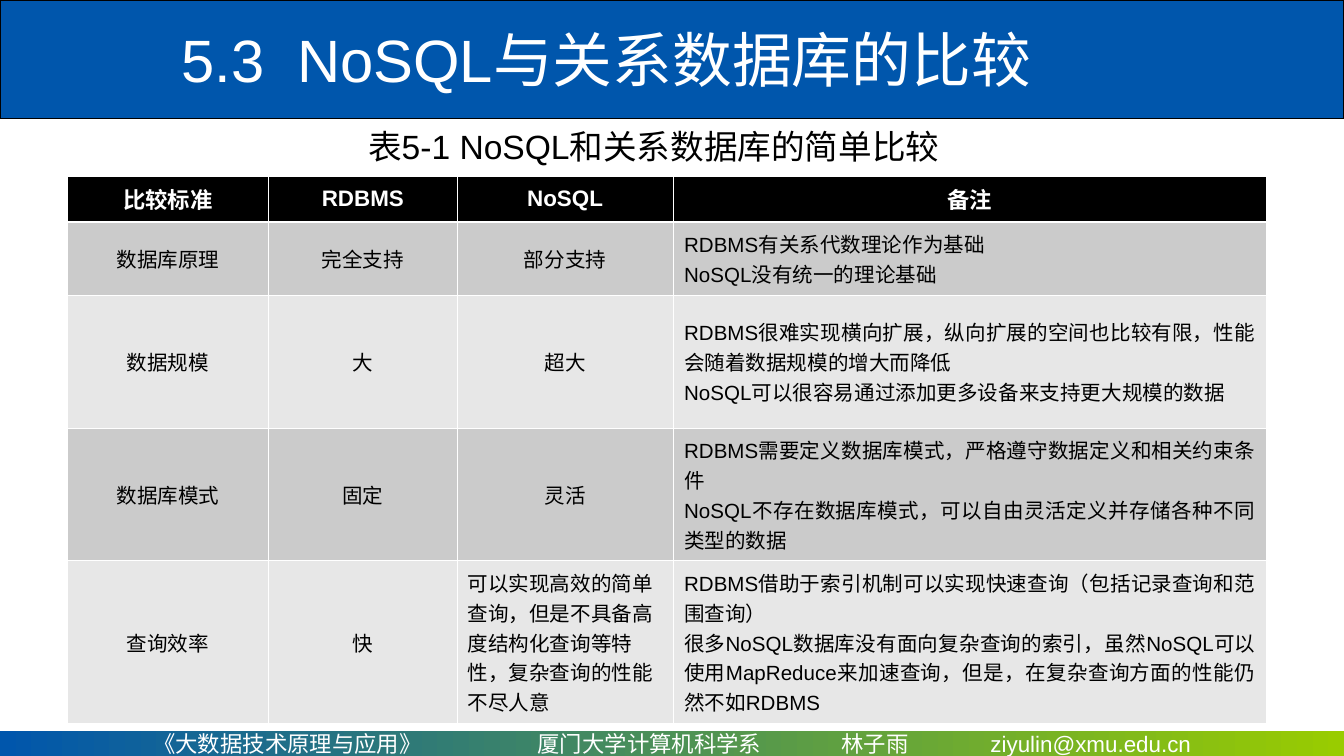
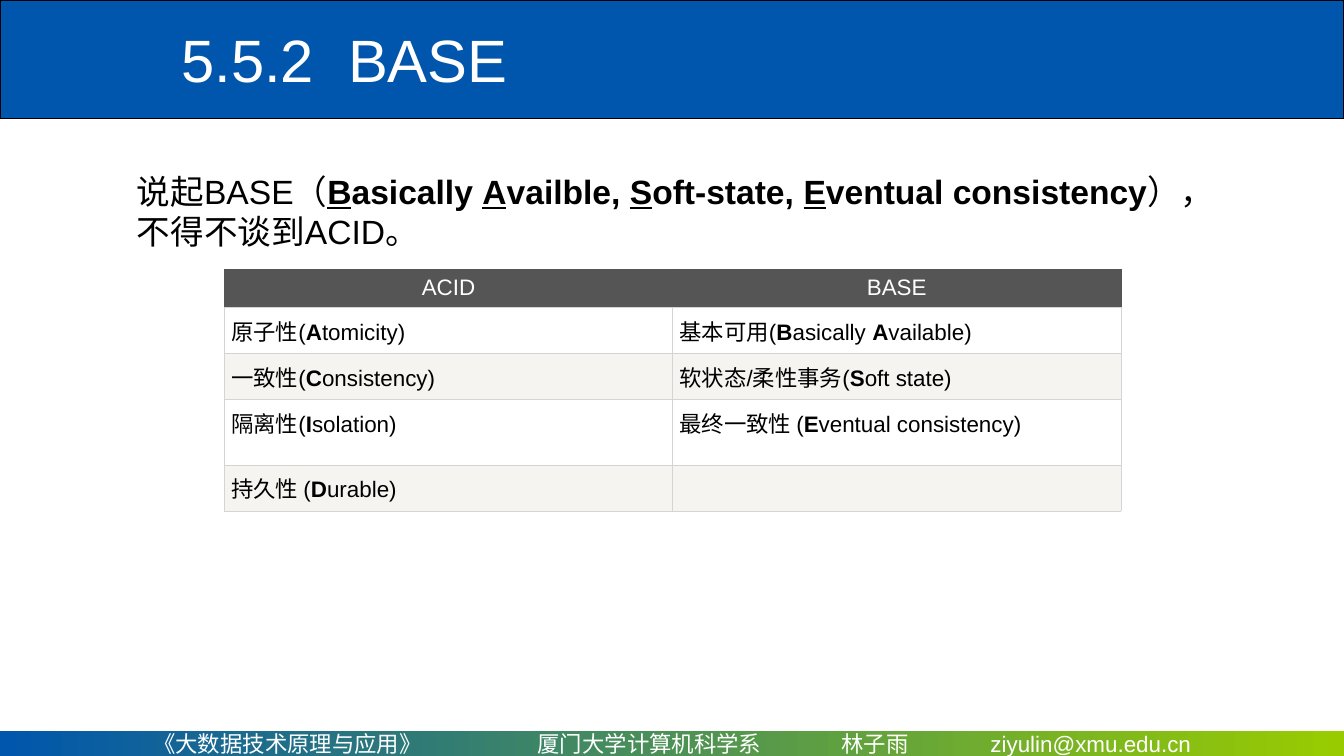
from lxml import etree
from pptx import Presentation, util as u
from pptx.dml.color import RGBColor
from pptx.enum import shapes, text
from pptx.oxml import ns

Inches, Pt = u.Inches, u.Pt
LEFT, CENTER, JUSTIFY = text.PP_ALIGN.LEFT, text.PP_ALIGN.CENTER, text.PP_ALIGN.JUSTIFY
MIDDLE, TOP = text.MSO_ANCHOR.MIDDLE, text.MSO_ANCHOR.TOP

FONT = "Arial"
BLUE = RGBColor(0x00, 0x56, 0xAC)
GREEN = RGBColor(0x99, 0xCC, 0x00)
BLACK = RGBColor(0x00, 0x00, 0x00)
WHITE = RGBColor(0xFF, 0xFF, 0xFF)
DARK_BAND = RGBColor(0xCB, 0xCB, 0xCB)
LIGHT_BAND = RGBColor(0xE7, 0xE7, 0xE7)
CHARCOAL = RGBColor(0x55, 0x55, 0x55)
RULE_GREY = RGBColor(0xD4, 0xD4, 0xD4)
IVORY = RGBColor(0xF6, 0xF4, 0xF0)

FOOTER = "《大数据技术原理与应用》\t厦门大学计算机科学系\t林子雨\tziyulin@xmu.edu.cn"
COMPARISON = [
    ["比较标准", "RDBMS", "NoSQL", "备注"],
    ["数据库原理", "完全支持", "部分支持",
     "RDBMS有关系代数理论作为基础\nNoSQL没有统一的理论基础"],
    ["数据规模", "大", "超大",
     "RDBMS很难实现横向扩展，纵向扩展的空间也比较有限，性能会随着数据规模的增大而降低\n"
     "NoSQL可以很容易通过添加更多设备来支持更大规模的数据"],
    ["数据库模式", "固定", "灵活",
     "RDBMS需要定义数据库模式，严格遵守数据定义和相关约束条件\n"
     "NoSQL不存在数据库模式，可以自由灵活定义并存储各种不同类型的数据"],
    ["查询效率", "快",
     "可以实现高效的简单查询，但是不具备高度结构化查询等特性，复杂查询的性能不尽人意",
     "RDBMS借助于索引机制可以实现快速查询（包括记录查询和范围查询）\n"
     "很多NoSQL数据库没有面向复杂查询的索引，虽然NoSQL可以使用MapReduce来加速查询，"
     "但是，在复杂查询方面的性能仍然不如RDBMS"],
]
ACID_BASE = [
    ["ACID", "BASE"],
    ["原子性(*A*tomicity)", "基本可用(*B*asically *A*vailable)"],
    ["一致性(*C*onsistency)", "软状态/柔性事务(*S*oft state)"],
    ["隔离性(*I*solation)", "最终一致性 (*E*ventual consistency)"],
    ["持久性 (*D*urable)", ""],
]
BASE_INTRO = ("说起BASE（*_B_asically _A_vailble, _S_oft-state, _E_ventual consistency*"
              "），不得不谈到ACID。")


def add_tabs(paragraph, stops):
    """Give a paragraph left tab stops, in inches from its text edge."""
    tabs = etree.SubElement(paragraph._p.get_or_add_pPr(), ns.qn("a:tabLst"))
    for stop in stops:
        etree.SubElement(tabs, ns.qn("a:tab"), pos=str(Inches(stop)), algn="l")


def write(paragraph, markup, size, color, align=LEFT, bold=False):
    """Fill a paragraph, where *stars* mark bold and _bars_ mark underline."""
    paragraph.alignment = align
    paragraph._p.get_or_add_pPr().set("hangingPunct", "0")
    font = paragraph.font
    font.name, font.size, font.bold, font.color.rgb = FONT, Pt(size), bold, color
    for i, phrase in enumerate(markup.split("*")):
        for j, piece in enumerate(phrase.split("_")):
            if piece:
                run = paragraph.add_run()
                run.text = piece
                if i % 2:
                    run.font.bold = True
                if j % 2:
                    run.font.underline = True


def add_band(slide, box):
    """Add a plain full-width rectangle."""
    band = slide.shapes.add_shape(shapes.MSO_SHAPE.RECTANGLE, *map(Inches, box))
    band.shadow.inherit = False
    return band


def add_frame(layout, slide):
    """Build the title band and footer, then move them to the shared layout."""
    header = add_band(slide, (0, 0, 10, 0.88))
    header.fill.solid()
    header.fill.fore_color.rgb = BLUE
    header.line.color.rgb = BLACK
    header.line.width = Pt(0.75)

    footer = add_band(slide, (0, 5.44, 10, 0.19))
    footer.line.fill.background()
    footer.fill.gradient()
    footer.fill.gradient_angle = 0
    for stop, color in zip(footer.fill.gradient_stops, (BLUE, GREEN)):
        stop.color.rgb = color
    frame = footer.text_frame
    frame.margin_left = Inches(1.14)
    frame.margin_right = frame.margin_top = frame.margin_bottom = 0
    frame.vertical_anchor = MIDDLE
    frame.word_wrap = True
    add_tabs(frame.paragraphs[0], (2.86, 5.12, 6.23))
    write(frame.paragraphs[0], FOOTER, 12, WHITE)

    for position, band in enumerate((header, footer), start=2):
        layout.shapes.element.insert(position, band.element)


def set_title(slide, title, name_start):
    """Place the title, its name starting at a tab after the section number."""
    holder = slide.shapes.title
    holder.left, holder.top, holder.width, holder.height = map(Inches, (1.25, 0.06, 8.75, 0.75))
    frame = holder.text_frame
    frame.vertical_anchor = MIDDLE
    frame.auto_size = text.MSO_AUTO_SIZE.NONE
    add_tabs(frame.paragraphs[0], [name_start])
    write(frame.paragraphs[0], title, 32, WHITE)


def add_line_of_text(slide, box, markup, anchor, wrap):
    """Add an 18 point text box."""
    frame = slide.shapes.add_textbox(*map(Inches, box)).text_frame
    frame.word_wrap = wrap
    frame.vertical_anchor = anchor
    write(frame.paragraphs[0], markup, 18, BLACK)


def set_borders(cell, borders):
    """Draw the left, right, top and bottom borders, each a colour and width."""
    properties = cell._tc.get_or_add_tcPr()
    for position, (side, (color, width)) in enumerate(zip("LRTB", borders)):
        line = etree.Element(ns.qn(f"a:ln{side}"), w=str(Pt(width)))
        fill = etree.SubElement(line, ns.qn("a:solidFill"))
        etree.SubElement(fill, ns.qn("a:srgbClr"), val=str(color))
        properties.insert(position, line)


def add_grid(slide, box, rows, widths, heights):
    """Add an empty table and return it with its sizes set."""
    table = slide.shapes.add_table(len(rows), len(widths), *map(Inches, box)).table
    table.horz_banding = False
    for column, width in zip(table.columns, widths):
        column.width = Inches(width)
    for row, height in zip(table.rows, heights):
        row.height = Inches(height)
    return table


def fill_cell(cell, content, fill, borders, side_margin, anchor, **style):
    """Fill one table cell, one paragraph per line of its content."""
    cell.fill.solid()
    cell.fill.fore_color.rgb = fill
    set_borders(cell, borders)
    cell.margin_left = cell.margin_right = Inches(side_margin)
    cell.vertical_anchor = anchor
    for i, line in enumerate(content.split("\n")):
        frame = cell.text_frame
        write(frame.add_paragraph() if i else frame.paragraphs[0], line, **style)


def add_comparison(slide, box):
    """Add the table that compares relational databases and NoSQL."""
    table = add_grid(slide, box, COMPARISON, (1.5, 1.4, 1.61, 4.41),
                     (0.29, 0.49, 0.99, 0.98, 1.15))
    thin, thick = (WHITE, 0.45), (WHITE, 1.47)
    for r, row in enumerate(COMPARISON):
        for c, content in enumerate(row):
            if r == 0:
                fill, style = BLACK, dict(size=12, color=WHITE, align=CENTER, bold=True)
            else:
                align = JUSTIFY if c == 3 else LEFT if len(content) > 10 else CENTER
                fill = DARK_BAND if r % 2 else LIGHT_BAND
                style = dict(size=11, color=BLACK, align=align)
            borders = (thin, thin, thick if r == 1 else thin, thick if r == 0 else thin)
            fill_cell(table.cell(r, c), content, fill, borders, 0.08, MIDDLE, **style)


def add_acid_base(slide, box):
    """Add the table that sets ACID beside BASE."""
    table = add_grid(slide, box, ACID_BASE, [box[2] / 2] * 2, (0.24, 0.3, 0.3, 0.49, 0.3))
    grey, dark = (RULE_GREY, 0.34), (CHARCOAL, 0.34)
    for r, row in enumerate(ACID_BASE):
        for c, content in enumerate(row):
            if r == 0:
                fill_cell(table.cell(r, c), content, CHARCOAL, (dark, dark, dark, grey),
                          0.03, TOP, size=12, color=WHITE, align=CENTER)
            else:
                fill_cell(table.cell(r, c), content, WHITE if r % 2 else IVORY, [grey] * 4,
                          0.05, TOP, size=12, color=BLACK)


def build_comparison_slide(slide):
    """Fill the slide on NoSQL and relational databases."""
    set_title(slide, "5.3\tNoSQL与关系数据库的比较", 0.86)
    add_comparison(slide, (0.5, 1.31, 8.92, 3.91))
    add_line_of_text(slide, (2.64, 0.89, 4.62, 0.4), "表5-1 NoSQL和关系数据库的简单比较",
                     MIDDLE, False)


def build_base_slide(slide):
    """Fill the slide on BASE."""
    set_title(slide, "5.5.2\tBASE", 1.24)
    add_acid_base(slide, (1.67, 2, 6.67, 1.63))
    add_line_of_text(slide, (0.92, 1.22, 8.42, 0.7), BASE_INTRO, TOP, True)


def main():
    """Build and save the presentation."""
    prs = Presentation()
    prs.slide_width = Inches(10)
    prs.slide_height = prs.slide_width * 9 // 16
    layout = prs.slide_layouts[5]
    comparison, base = (prs.slides.add_slide(layout) for _ in range(2))
    add_frame(layout, comparison)
    build_comparison_slide(comparison)
    build_base_slide(base)
    prs.save("out.pptx")


if __name__ == "__main__":
    main()
